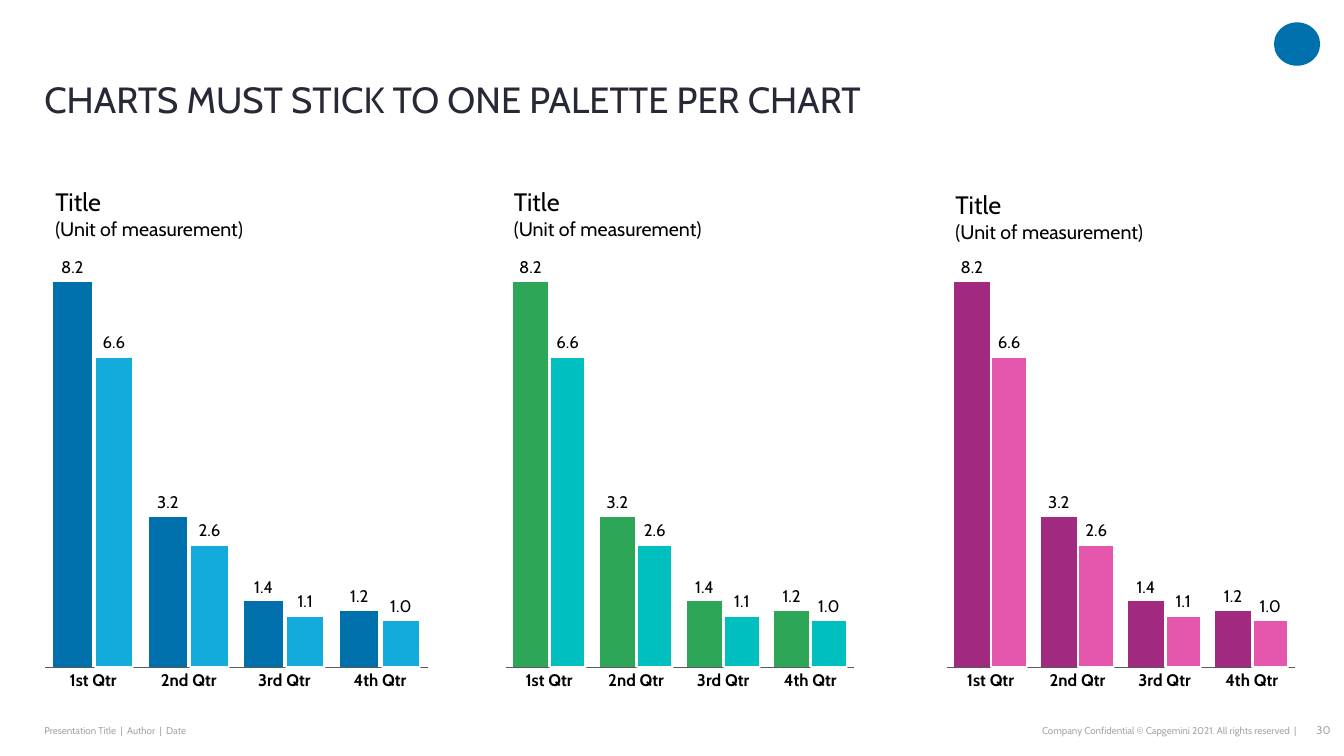
from lxml.etree import SubElement
from pptx import Presentation
from pptx.chart.data import CategoryChartData as ChartData
from pptx.dml.color import RGBColor
from pptx.enum.chart import XL_CHART_TYPE as Kind, XL_LABEL_POSITION as Spot
from pptx.enum.chart import XL_TICK_MARK as Tick
from pptx.enum.shapes import MSO_SHAPE as Shape
from pptx.enum.text import MSO_ANCHOR as Anchor, PP_ALIGN as Align
from pptx.oxml.ns import qn
from pptx.util import Pt

FONT = "Cabin"
GREY = "A6A6A6"
BLACK = "000000"
QUARTERS = ["1st Qtr", "2nd Qtr", "3rd Qtr", "4th Qtr"]
VALUES = [("Series 1", [8.2, 3.2, 1.4, 1.2]),
          ("Series 2", [6.6, 2.6, 1.1, 1.0])]
TOP, HEIGHT = 129.6, 374.4
FOOT, FOOT_H = 513.4, 17.3
# left, width, overlap, caption left, caption top, palette
PANELS = [
    (20.2, 297.4, -8, 32.4, 129.6, ("0070AD", "12ABDB")),
    (350, 270.7, -5, 360, 129.6, ("2EA657", "00BFBF")),
    (665.3, 270.7, -5, 675.4, 131.8, ("A12980", "E557AD")),
]


def rgb(code):
    return RGBColor.from_string(code)


def style(font, size, color=BLACK, bold=False):
    font.name = FONT
    font.size = Pt(size)
    font.bold = bold
    font.color.rgb = rgb(color)


def add_text(slide, box, lines, color=BLACK, align=Align.LEFT,
             anchor=Anchor.TOP, pads=(0, 0)):
    """Add a text box; lines holds (text, size) pairs, pads is (side, end)."""
    frame = slide.shapes.add_textbox(*map(Pt, box)).text_frame
    frame.word_wrap = True
    frame.vertical_anchor = anchor
    frame.margin_left = frame.margin_right = Pt(pads[0])
    frame.margin_top = frame.margin_bottom = Pt(pads[1])
    frame.text = "\n".join(text for text, size in lines)
    for para, (text, size) in zip(frame.paragraphs, lines):
        para.alignment = align
        style(para.runs[0].font, size, color)
    return frame


def set_plot(chart):
    """Fix the inner plot area as fractions of the chart."""
    area = chart._chartSpace.chart.plotArea
    old = area.find(qn("c:layout"))
    if old is not None:
        area.remove(old)
    layout = SubElement(area, qn("c:layout"))
    area.insert(0, layout)
    manual = SubElement(layout, qn("c:manualLayout"))
    for tag, val in [("layoutTarget", "inner"), ("xMode", "edge"),
                     ("yMode", "edge"), ("x", "0.041"), ("y", "0.12"),
                     ("w", "0.919"), ("h", "0.807")]:
        SubElement(manual, qn("c:" + tag)).set("val", val)


def set_axes(chart):
    scale = chart.value_axis
    scale.minimum_scale, scale.maximum_scale = 0, 9
    scale.has_major_gridlines = False
    scale.visible = False
    axis = chart.category_axis
    axis.major_tick_mark = axis.minor_tick_mark = Tick.NONE
    axis.format.line.color.rgb = rgb("595959")
    axis.format.line.width = Pt(1)
    style(axis.tick_labels.font, 12, bold=True)


def set_bars(series, color):
    series.invert_if_negative = False
    series.format.fill.solid()
    series.format.fill.fore_color.rgb = rgb(color)
    labels = series.data_labels
    labels.show_value = True
    labels.position = Spot.OUTSIDE_END
    labels.number_format = "0.0"
    labels.number_format_is_linked = False
    style(labels.font, 12)


def add_bars(slide, left, width, overlap, colors):
    data = ChartData(number_format="0.0")
    data.categories = QUARTERS
    for name, vals in VALUES:
        data.add_series(name, vals)
    box = map(Pt, (left, TOP, width, HEIGHT))
    chart = slide.shapes.add_chart(Kind.COLUMN_CLUSTERED, *box, data).chart
    chart.has_title = chart.has_legend = False
    style(chart.font, 10)
    set_plot(chart)
    set_axes(chart)
    plot = chart.plots[0]
    plot.vary_by_categories = False
    plot.gap_width, plot.overlap = 40, overlap
    for series, color in zip(plot.series, colors):
        set_bars(series, color)
    edge = plot.series[1].format.line
    edge.color.rgb = rgb("FFFFFF")
    edge.width = Pt(1.5)


def add_badge(slide):
    badge = slide.shapes.add_shape(
        Shape.OVAL, Pt(910), Pt(16), Pt(33), Pt(31))
    badge.shadow.inherit = False
    badge.fill.solid()
    badge.fill.fore_color.rgb = rgb("0070AD")
    badge.line.fill.background()


def add_footer(slide):
    add_text(slide, (31.7, FOOT, 268.6, FOOT_H),
             [("Presentation Title  |  Author  |  Date", 7)],
             GREY, anchor=Anchor.MIDDLE)
    notice = "Company Confidential © Capgemini 2021. All rights reserved  |"
    add_text(slide, (568.8, FOOT, 357.1, FOOT_H), [(notice, 7)],
             GREY, Align.RIGHT, Anchor.MIDDLE)
    add_text(slide, (924.5, FOOT, 26, FOOT_H), [("30", 8)],
             GREY, Align.RIGHT, pads=(0, 3.6))


def main():
    deck = Presentation()
    deck.slide_width, deck.slide_height = Pt(960), Pt(540)
    slide = deck.slides.add_slide(deck.slide_layouts[6])
    add_badge(slide)
    add_footer(slide)
    title = add_text(slide, (31.7, 30.2, 861.8, 56.2),
                     [("CHARTS MUST STICK TO ONE PALETTE PER CHART", 26)],
                     "272936", anchor=Anchor.BOTTOM)
    title.paragraphs[0].line_spacing = 0.9
    for left, width, overlap, text_x, text_y, colors in PANELS:
        add_bars(slide, left, width, overlap, colors)
        add_text(slide, (text_x, text_y, width - 21, 46),
                 [("Title", 18), ("(Unit of measurement)", 14)],
                 pads=(7.2, 3.6))
    deck.save("out.pptx")


if __name__ == "__main__":
    main()
